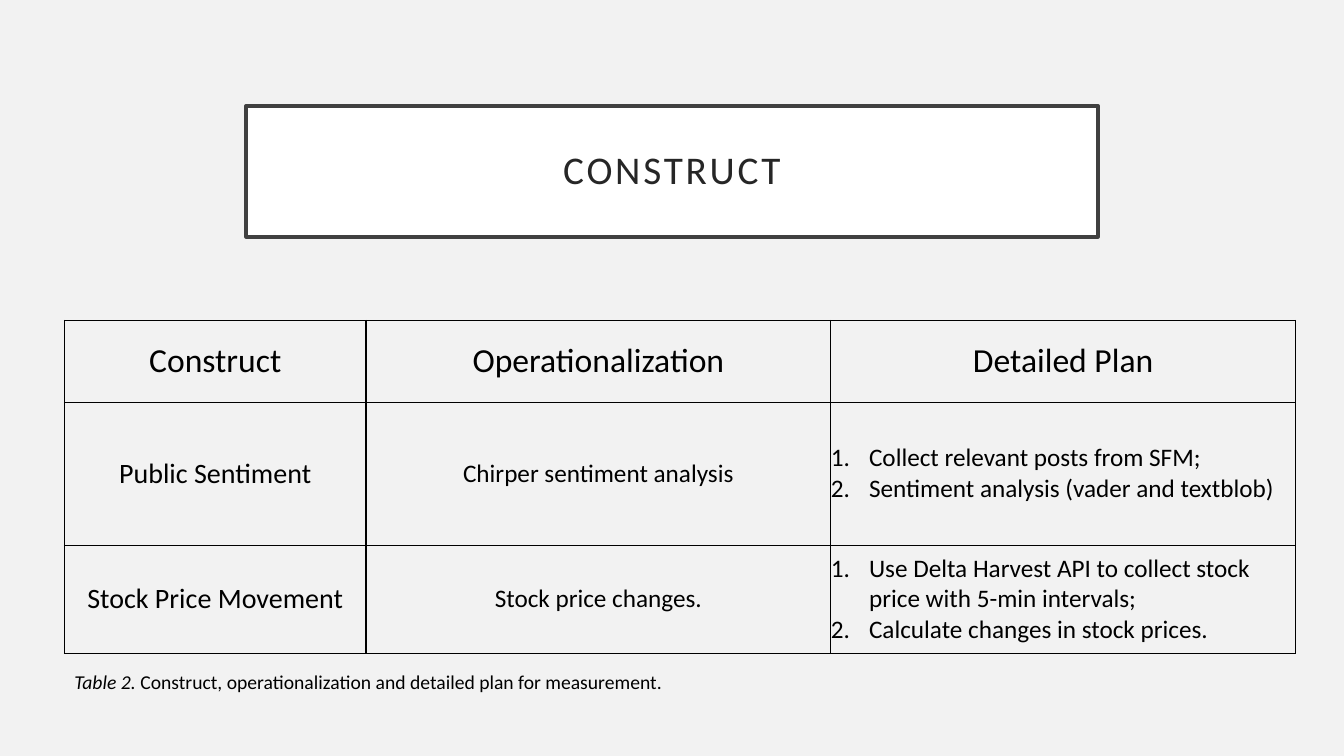
from lxml.etree import SubElement
from pptx import Presentation
from pptx.dml.color import RGBColor
from pptx.enum.shapes import MSO_SHAPE
from pptx.enum.text import MSO_ANCHOR, PP_ALIGN
from pptx.oxml import parse_xml
from pptx.oxml.ns import nsdecls, qn
from pptx.util import Inches, Pt

TITLE = "CONSTRUCT"
HEADERS = ["Construct", "Operationalization", "Detailed Plan"]
# A list inside a row becomes a numbered list in its cell.
ROWS = [
    ["Public Sentiment", "Chirper sentiment analysis",
     ["Collect relevant posts from SFM;",
      "Sentiment analysis (vader and textblob)"]],
    ["Stock Price Movement", "Stock price changes.",
     ["Use Delta Harvest API to collect stock price with 5-min intervals;",
      "Calculate changes in stock prices."]],
]
CAPTION = [("Table 2. ", True),
           ("Construct, operationalization and detailed plan for measurement.", False)]

COLORS = {"page": "F2F2F2", "panel": "FFFFFF", "frame": "404040",
          "title": "262626", "ink": "000000"}
FONT = "Calibri"
HEADER_SIZE = 24
BODY_SIZES = [20, 18, 18]
COLUMN_WIDTHS = [2.99, 4.61, 4.61]
ROW_HEIGHTS = [0.81, 1.42, 1.07]
PAGE_WIDTH, PAGE_HEIGHT = 13.33, 7.5
TITLE_WIDTH, TITLE_HEIGHT, TITLE_TOP = 8.45, 1.3, 1.05
TABLE_LEFT, TABLE_TOP = 0.64, 3.18
LIST_INDENT = 0.38


def color(name):
    return RGBColor.from_string(COLORS[name])


def style(para, size, ink="ink", align=PP_ALIGN.LEFT):
    para.alignment = align
    para.font.name = FONT
    para.font.size = Pt(size)
    para.font.color.rgb = color(ink)


def set_margins(target, inches):
    for side in ("left", "right", "top", "bottom"):
        setattr(target, f"margin_{side}", Inches(inches))


def number(para):
    """Give the paragraph a hanging automatic number."""
    props = para._p.get_or_add_pPr()
    props.set("marL", str(Inches(LIST_INDENT)))
    props.set("indent", str(-Inches(LIST_INDENT)))
    SubElement(props, qn("a:buFont"), typeface="+mj-lt")
    SubElement(props, qn("a:buAutoNum"), type="arabicPeriod")


def add_borders(cell):
    props = cell._tc.get_or_add_tcPr()
    for place, side in enumerate("LRTB"):
        props.insert(place, parse_xml(
            f'<a:ln{side} {nsdecls("a")} w="{Pt(1)}"><a:solidFill>'
            f'<a:srgbClr val="{COLORS["ink"]}"/></a:solidFill></a:ln{side}>'))


def fill_cell(cell, content, size):
    cell.fill.background()
    add_borders(cell)
    set_margins(cell, 0)
    cell.vertical_anchor = MSO_ANCHOR.MIDDLE
    numbered = isinstance(content, list)
    lines = content if numbered else [content]
    frame = cell.text_frame
    frame.text = "\n".join(lines)
    for para in frame.paragraphs:
        if numbered:
            number(para)
        style(para, size, align=PP_ALIGN.LEFT if numbered else PP_ALIGN.CENTER)


def add_title(page):
    box = page.shapes.add_shape(
        MSO_SHAPE.RECTANGLE, Inches((PAGE_WIDTH - TITLE_WIDTH) / 2),
        Inches(TITLE_TOP), Inches(TITLE_WIDTH), Inches(TITLE_HEIGHT))
    box.shadow.inherit = False
    box.fill.solid()
    box.fill.fore_color.rgb = color("panel")
    box.line.color.rgb = color("frame")
    box.line.width = Pt(2.5)
    frame = box.text_frame
    frame.word_wrap = True
    frame.vertical_anchor = MSO_ANCHOR.MIDDLE
    set_margins(frame, 0.2)
    para = frame.paragraphs[0]
    span = para.add_run()
    span.text = TITLE
    span._r.get_or_add_rPr().set("spc", "200")
    para.line_spacing = 0.9
    style(para, 28, "title", PP_ALIGN.CENTER)


def add_plan_table(page):
    grid = [HEADERS] + ROWS
    table = page.shapes.add_table(
        len(grid), len(HEADERS), Inches(TABLE_LEFT), Inches(TABLE_TOP),
        Inches(sum(COLUMN_WIDTHS)), Inches(sum(ROW_HEIGHTS))).table
    table.first_row = False
    table.horz_banding = False
    for column, width in zip(table.columns, COLUMN_WIDTHS):
        column.width = Inches(width)
    for r, (row, height) in enumerate(zip(grid, ROW_HEIGHTS)):
        table.rows[r].height = Inches(height)
        for c, content in enumerate(row):
            fill_cell(table.cell(r, c), content, BODY_SIZES[c] if r else HEADER_SIZE)


def add_caption(page):
    top = TABLE_TOP + sum(ROW_HEIGHTS) + 0.12
    box = page.shapes.add_textbox(
        Inches(TABLE_LEFT), Inches(top), Inches(12.02), Inches(0.34))
    box.text_frame.word_wrap = True
    para = box.text_frame.paragraphs[0]
    for text, italic in CAPTION:
        span = para.add_run()
        span.text = text
        span.font.italic = italic
    style(para, 14)


def main():
    deck = Presentation()
    deck.slide_width = Inches(PAGE_WIDTH)
    deck.slide_height = Inches(PAGE_HEIGHT)
    page = deck.slides.add_slide(deck.slide_layouts[6])
    page.background.fill.solid()
    page.background.fill.fore_color.rgb = color("page")
    add_title(page)
    add_plan_table(page)
    add_caption(page)
    deck.save("out.pptx")


if __name__ == "__main__":
    main()
